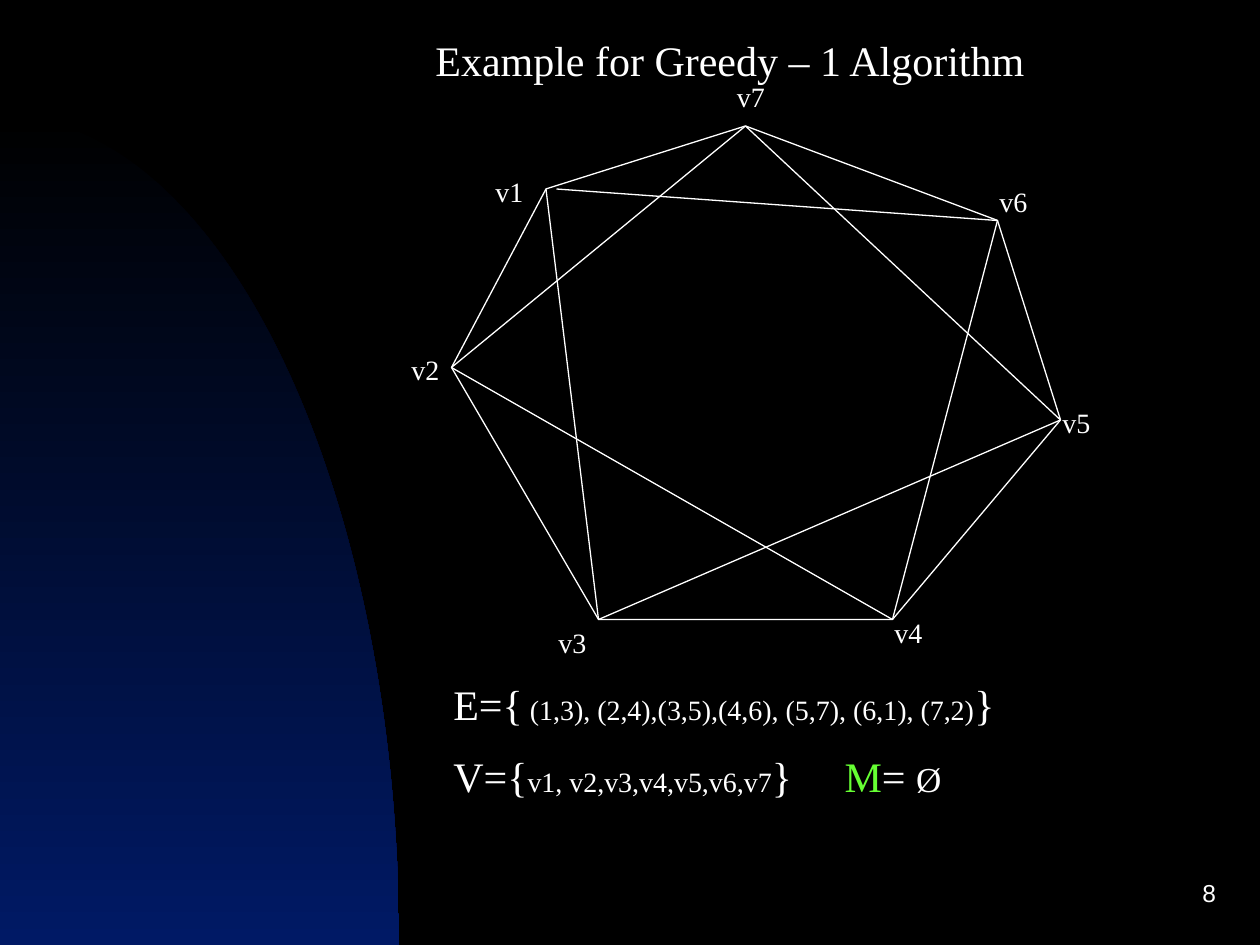
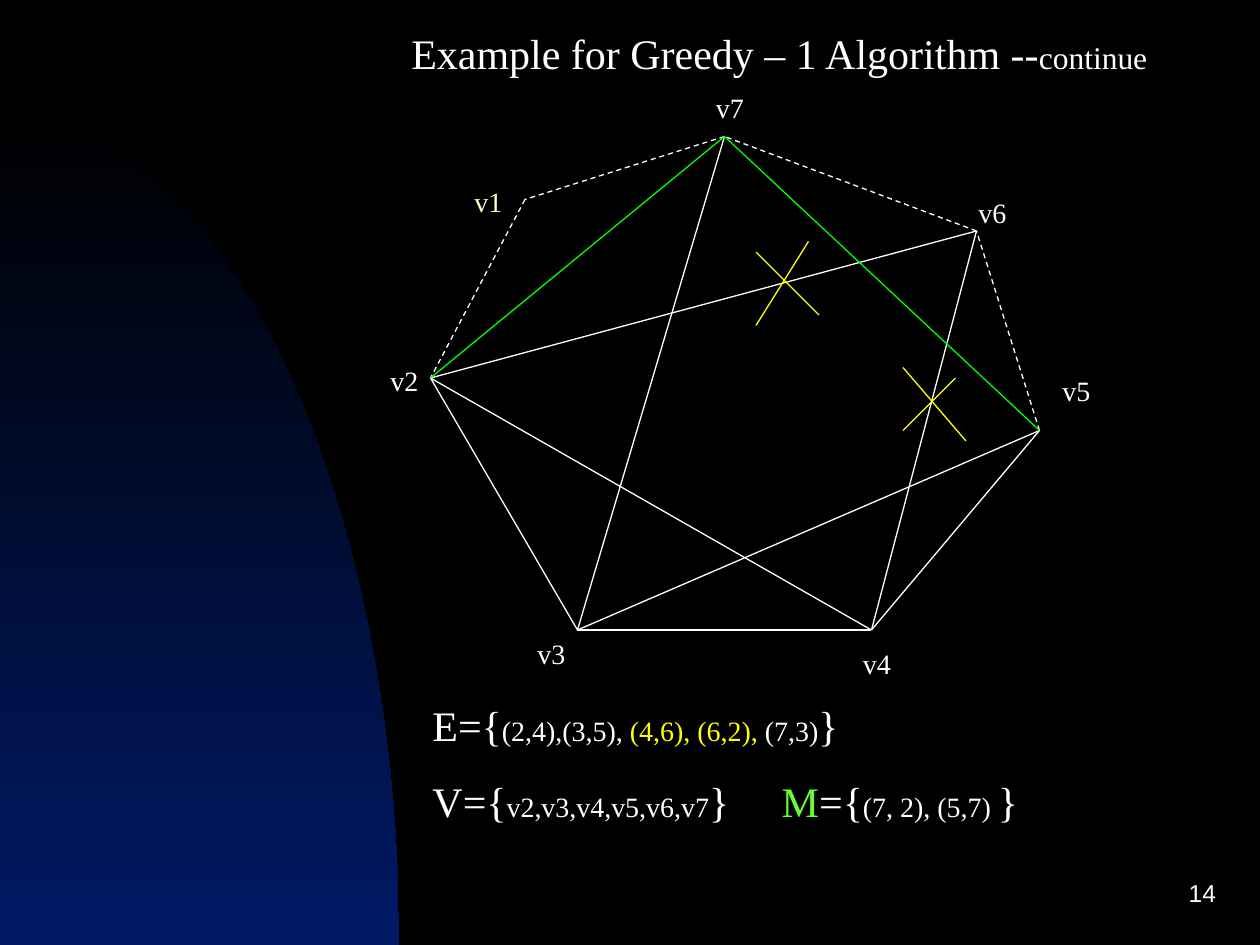
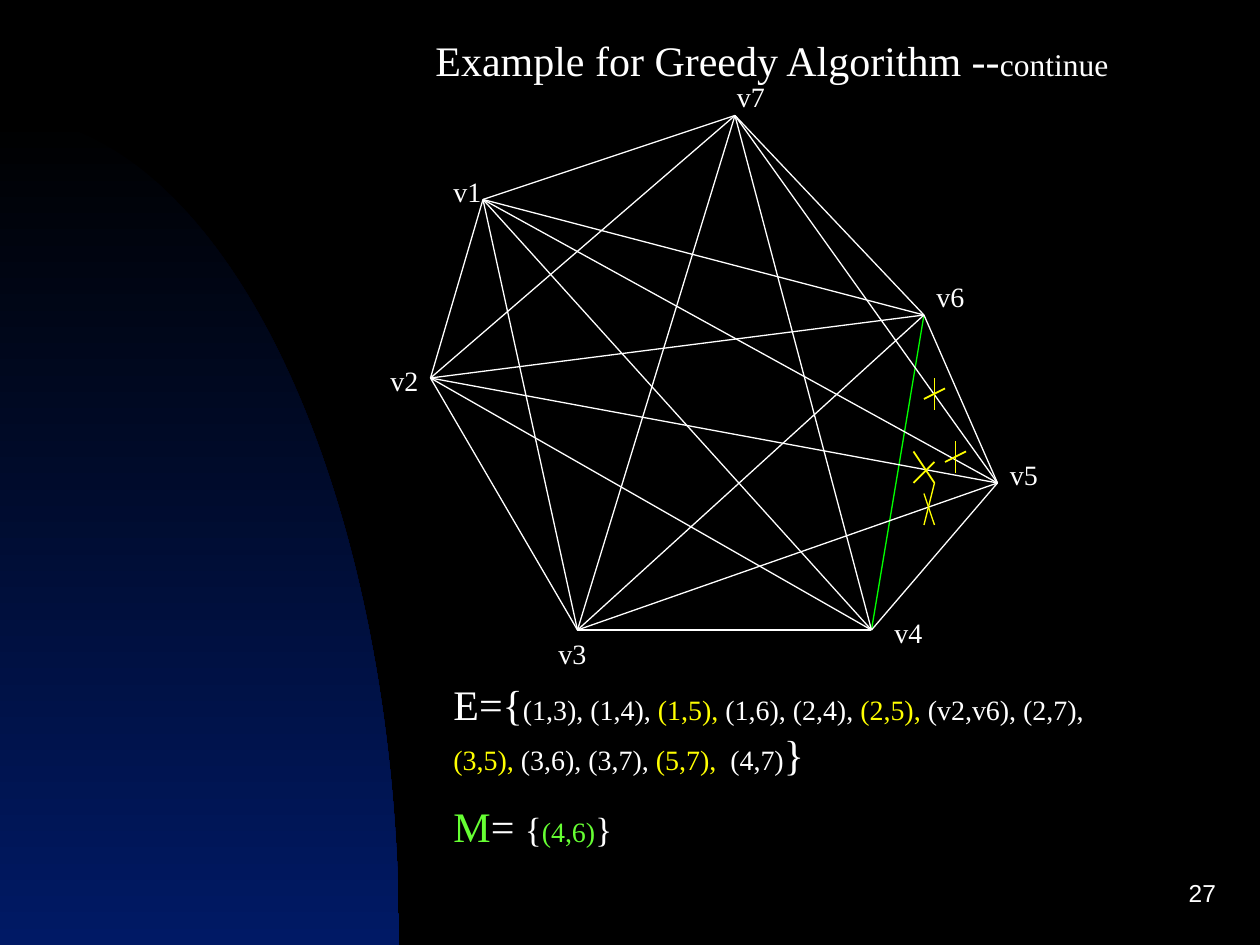
"""Build three slides on greedy matching in a seven-vertex graph."""
from itertools import combinations

from lxml import etree
from pptx import Presentation
from pptx import util as u
from pptx.dml.color import RGBColor
from pptx.enum import dml, shapes, text
from pptx.oxml.ns import qn

PX = 7620
HUE = {"bg": "000000", "blue": "0033CC", "ink": "FFFFFF", "pale": "FFFFCC",
       "edge": "00FF00", "pick": "66FF33", "drop": "FFFF00"}
SERIF, SANS = "Times New Roman", "Arial"
WIDE = {1: 90, 3: 80}
RING = ["12", "23", "34", "45", "56", "67", "71"]
HEAD = (" ", 28, "ink", SANS)


def rgb(key):
    """Return the named colour."""
    return RGBColor.from_string(HUE[key])


def px(*nums):
    """Turn px into EMU."""
    return [u.Emu(n * PX) for n in nums]


def put(obj, **vals):
    """Set each given attribute on obj."""
    for key, val in vals.items():
        setattr(obj, key, val)


def write(slide, box, paras, gaps=(0,), grow=True, **form):
    """Add a text box; each run is text, size, colour and an optional font."""
    frame = slide.shapes.add_textbox(*px(*box)).text_frame
    size = text.MSO_AUTO_SIZE
    put(frame, word_wrap=True,
        auto_size=size.SHAPE_TO_FIT_TEXT if grow else size.NONE)
    if not grow:
        frame.vertical_anchor = text.MSO_ANCHOR.MIDDLE
    for i, (runs, gap) in enumerate(zip(paras, gaps)):
        para = frame.add_paragraph() if i else frame.paragraphs[0]
        put(para, space_before=u.Pt(gap), **form)
        for words, pts, hue, *face in runs:
            run = para.add_run()
            run.text = words
            put(run.font, size=u.Pt(pts), name=face[0] if face else SERIF)
            run.font.color.rgb = rgb(hue)


def line(slide, start, end, hue="ink", width=0.75, dash=False):
    """Draw a straight line between two points."""
    link = slide.shapes.add_connector(
        shapes.MSO_CONNECTOR.STRAIGHT, *px(*start, *end))
    link.line.color.rgb = rgb(hue)
    link.line.width = u.Pt(width)
    if dash:
        link.line.dash_style = dml.MSO_LINE.DASH
    etree.SubElement(link._element.spPr, qn("a:effectLst"))


def edges(slide, spots, pairs, **form):
    """Draw the edges named by pairs of vertex digits."""
    for a, b in pairs:
        line(slide, spots[int(a) - 1], spots[int(b) - 1], **form)


def ring(slide, spots):
    """Draw the closed outline through all vertices."""
    pen = slide.shapes.build_freeform(*spots[0], scale=PX)
    pen.add_line_segments(spots[1:], close=True)
    loop = pen.convert_to_shape()
    loop.shadow.inherit = False
    loop.fill.background()
    loop.line.color.rgb = rgb("ink")
    loop.line.width = u.Pt(0.75)


def names(slide, spots, faded=()):
    """Label the vertices v1 to v7."""
    for n, (x, y) in enumerate(spots, 1):
        hue = "pale" if n in faded else "ink"
        write(slide, (x, y, WIDE.get(n, 70), 44), [[(f"v{n}", 16, hue)]], [10])


def cross(slide, marks, width=0.75):
    """Draw the strokes that strike out edges."""
    for a, b, c, d in marks:
        line(slide, (a, b), (c, d), "drop", width)


def page(deck, num, title, left, gap):
    """Add a slide with its blue curve, title and number."""
    slide = deck.slides.add_slide(deck.slide_layouts[6])
    curve = slide.shapes.add_shape(
        shapes.MSO_SHAPE.OVAL, *px(-380, 110, 760, 1580))
    curve.shadow.inherit = False
    curve.line.fill.background()
    curve.fill.gradient()
    curve.fill.gradient_angle = 270
    for stop, hue, pos in zip(curve.fill.gradient_stops, ("bg", "blue"), (0, 1)):
        stop.color.rgb = rgb(hue)
        stop.position = pos
    write(slide, (left, 20, 730, 68), [title], [gap])
    write(slide, (920, 820, 250, 60), [[(str(num), 14, "ink", SANS)]],
          grow=False, alignment=text.PP_ALIGN.RIGHT)
    return slide


def first(deck, spots):
    """Show the graph before any edge is picked."""
    slide = page(deck, 8, [HEAD, ("Example for Greedy – 1 Algorithm", 24, "ink")],
                 390, 15)
    ring(slide, spots)
    edges(slide, spots, ["46", "57", "72", "13", "24", "35"])
    line(slide, (530, 180), spots[5])
    names(slide, [(460, 160), (380, 330), (520, 590), (840, 580),
                  (1000, 380), (940, 170), (690, 70)])
    write(slide, (420, 640, 670, 130), [
        [("E={", 24, "ink"),
         (" (1,3), (2,4),(3,5),(4,6), (5,7), (6,1), (7,2)", 16, "ink"),
         ("}", 24, "ink")],
        [("V={", 24, "ink"), ("v1, v2,v3,v4,v5,v6,v7", 16, "ink"),
         ("}     ", 24, "ink"), ("M", 24, "pick"), ("= ", 24, "ink"),
         ("Ø", 20, "ink")]], [15, 12.5])


def second(deck, spots):
    """Show the graph with v1 gone and two edges picked."""
    slide = page(deck, 14, [("Example for Greedy – 1 Algorithm --", 24, "ink"),
                            ("continue", 18, "ink")], 380, 11.2)
    gone = ["71", "12", "56", "67"]
    edges(slide, spots, [e for e in RING if e not in gone])
    edges(slide, spots, gone, dash=True)
    edges(slide, spots, ["46", "24", "35", "62", "73"])
    edges(slide, spots, ["57", "72"], hue="edge")
    cross(slide, [(720, 240, 780, 300), (770, 230, 720, 310),
                  (860, 350, 920, 420), (910, 360, 860, 410)])
    names(slide, [(440, 170), (360, 340), (500, 600), (810, 610),
                  (1000, 350), (920, 180), (670, 80)], faded=[1])
    write(slide, (400, 660, 750, 133), [
        [("E={", 24, "ink"), ("(2,4),(3,5), ", 16, "ink"),
         ("(4,6), (6,2),", 16, "drop"), (" (7,3)", 16, "ink"),
         ("}", 24, "ink")],
        [("V={", 24, "ink"), ("v2,v3,v4,v5,v6,v7", 16, "ink"),
         ("}     ", 24, "ink"), ("M", 24, "pick"), ("={", 24, "ink"),
         ("(7, 2), (5,7) ", 16, "ink"), ("}", 24, "ink")]], [15, 15])


def third(deck):
    """Show the complete graph with one edge picked."""
    slide = page(deck, 27, [HEAD, ("Example for Greedy Algorithm --", 24, "ink"),
                            ("continue", 18, "ink")], 390, 11.2)
    spots = [(460, 190), (410, 360), (550, 600), (830, 600),
             (950, 460), (880, 300), (700, 110)]
    pick = ("4", "6")
    edges(slide, spots, [pick], hue="edge")
    edges(slide, spots, [e for e in combinations("1234567", 2) if e != pick])
    cross(slide, [(880, 470, 890, 500), (890, 460, 880, 500)])
    cross(slide, [(870, 460, 890, 440), (870, 430, 890, 460),
                  (900, 440, 920, 430), (910, 420, 910, 450),
                  (890, 390, 890, 360), (880, 380, 900, 370)], 1)
    names(slide, [(420, 160), (360, 340), (520, 600), (840, 580),
                  (950, 430), (880, 260), (690, 70)])
    write(slide, (420, 640, 640, 178), [
        [("E={", 24, "ink"), ("(1,3), (1,4), ", 16, "ink"),
         ("(1,5),", 16, "drop"), (" (1,6), (2,4), ", 16, "ink"),
         ("(2,5),", 16, "drop"), (" (v2,v6), (2,7), ", 16, "ink"),
         ("(3,5),", 16, "drop"), (" (3,6), (3,7), ", 16, "ink"),
         ("(5,7),", 16, "drop"), ("  (4,7)", 16, "ink"), ("}", 24, "ink")],
        [("M", 24, "pick"), ("= ", 24, "ink"), ("{", 20, "ink"),
         ("(4,6)", 16, "pick"), ("}", 20, "ink")]], [15, 12.5])


def main():
    """Build and save the deck."""
    deck = Presentation()
    wide, high = px(1200, 900)
    put(deck, slide_width=wide, slide_height=high)
    back = deck.slide_master.background.fill
    back.solid()
    back.fore_color.rgb = rgb("bg")
    spots = [(520, 180), (430, 350), (570, 590), (850, 590),
             (1010, 400), (950, 210), (710, 120)]
    first(deck, spots)
    second(deck, [(x - 20, y + 10) for x, y in spots])
    third(deck)
    deck.save("out.pptx")


if __name__ == "__main__":
    main()
